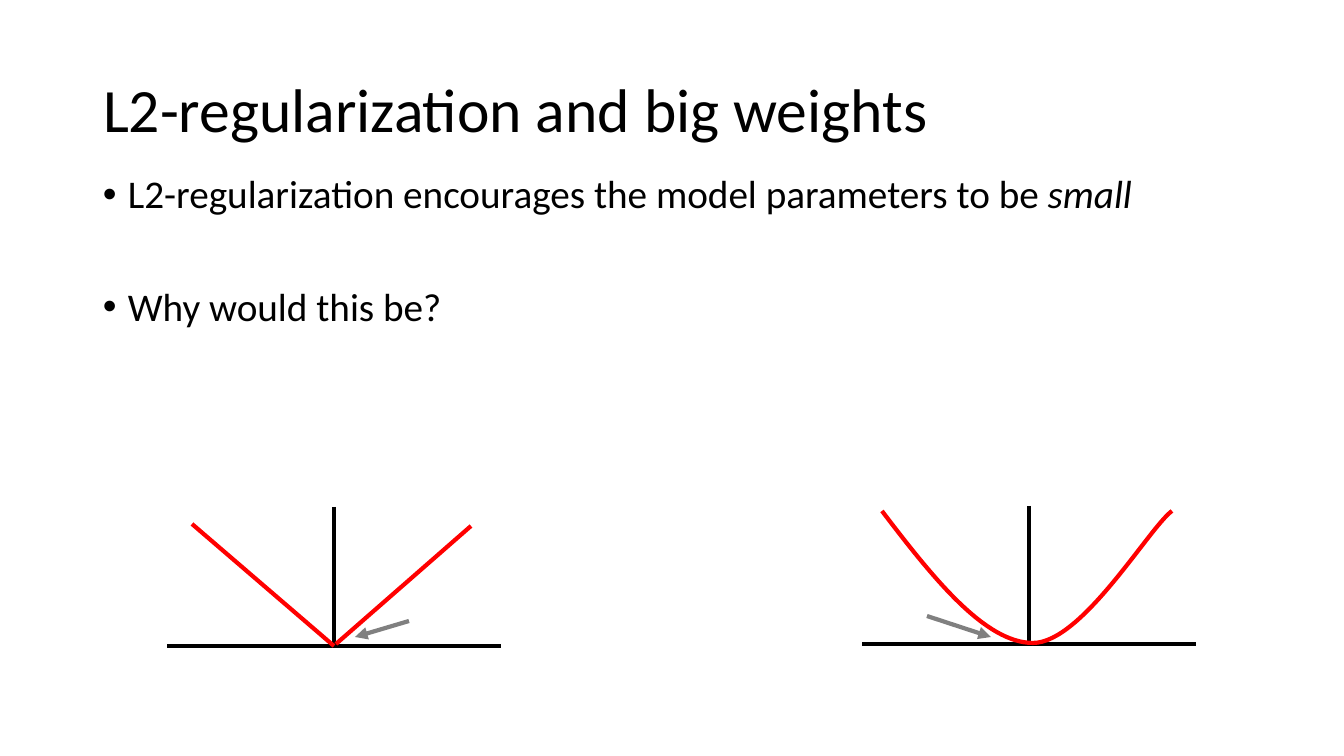
from lxml.etree import SubElement
from pptx import Presentation
from pptx.dml.color import RGBColor
from pptx.enum.shapes import MSO_CONNECTOR
from pptx.enum.text import MSO_ANCHOR, MSO_AUTO_SIZE, PP_ALIGN
from pptx.oxml.ns import qn
from pptx.util import Pt

EMU_PER_PX = 914400 / 100.8
BLACK, RED, GRAY = "000000", "FF0000", "808080"


def px(length):
    return round(length * EMU_PER_PX)


def color(hex_string):
    return RGBColor.from_string(hex_string)


class SlideBuilder:
    font_name = "Calibri"
    line_width = Pt(3)
    bullet_indent = 25

    def __init__(self, presentation):
        self.slide = presentation.slides.add_slide(presentation.slide_layouts[5])

    def place(self, shape, left, top, width, height):
        shape.left, shape.top = px(left), px(top)
        shape.width, shape.height = px(width), px(height)

    def add_runs(self, paragraph, runs, size):
        """Fill a paragraph from (text, italic) pairs."""
        paragraph.alignment = PP_ALIGN.LEFT
        paragraph.line_spacing = 0.9
        for text, italic in runs:
            run = paragraph.add_run()
            run.text = text
            run.font.name = self.font_name
            run.font.size = Pt(size)
            run.font.italic = italic
            run.font.color.rgb = color(BLACK)

    def title(self, text, box):
        shape = self.slide.shapes.title
        self.place(shape, *box)
        frame = shape.text_frame
        frame.auto_size = MSO_AUTO_SIZE.NONE
        frame.vertical_anchor = MSO_ANCHOR.MIDDLE
        self.add_runs(frame.paragraphs[0], [(text, False)], 44)

    def bullets(self, items, box, gap):
        frame = self.slide.shapes.add_textbox(*map(px, box)).text_frame
        frame.word_wrap = True
        for index, runs in enumerate(items):
            paragraph = frame.add_paragraph() if index else frame.paragraphs[0]
            paragraph.space_before = Pt(gap if index else 0)
            properties = paragraph._p.get_or_add_pPr()
            properties.set("marL", str(px(self.bullet_indent)))
            properties.set("indent", str(-px(self.bullet_indent)))
            SubElement(properties, qn("a:buFont")).set("typeface", "Arial")
            SubElement(properties, qn("a:buChar")).set("char", "•")
            self.add_runs(paragraph, runs, 28)

    def line(self, start, end, hex_string, arrow=False):
        connector = self.slide.shapes.add_connector(
            MSO_CONNECTOR.STRAIGHT, *map(px, start + end))
        connector.line.color.rgb = color(hex_string)
        connector.line.width = self.line_width
        properties = connector._element.spPr
        if arrow:
            SubElement(properties.get_or_add_ln(), qn("a:tailEnd")).set("type", "triangle")
        SubElement(properties, qn("a:effectLst"))

    def curve(self, start, controls, hex_string):
        """Draw cubic Bézier pieces; every three control points make one piece."""
        builder = self.slide.shapes.build_freeform(*start, scale=EMU_PER_PX)
        builder.add_line_segments(controls, close=False)
        shape = builder.convert_to_shape()
        segments = list(shape._element.iter(qn("a:lnTo")))
        for first in range(0, len(segments), 3):
            piece = segments[first:first + 3]
            outline = piece[0].getparent()
            cubic = SubElement(outline, qn("a:cubicBezTo"))
            for segment in piece:
                cubic.append(segment[0])
                outline.remove(segment)
        shape.shadow.inherit = False
        shape.fill.background()
        shape.line.color.rgb = color(hex_string)
        shape.line.width = self.line_width

    def axes(self, origin, height, half_width):
        x, y = origin
        self.line((x, y - height), (x, y), BLACK)
        self.line((x + half_width, y), (x - half_width, y), BLACK)


def main():
    presentation = Presentation()
    presentation.slide_width, presentation.slide_height = px(1344), px(756)
    builder = SlideBuilder(presentation)
    builder.title("L2-regularization and big weights", (93, 40, 1159, 146))
    builder.bullets([
        [("L2-regularization encourages the model parameters to be ", False), ("small", True)],
        [("Why would this be?", False)],
    ], (93, 170, 1159, 557), gap=50)

    # Absolute value penalty
    builder.axes((334, 646), 139, 167)
    builder.line((192, 524), (334, 646), RED)
    builder.line((336, 644), (471, 526), RED)

    # Squared penalty
    builder.axes((1029, 644), 138, 167)
    builder.curve((882, 511), [(933, 578), (985, 643), (1033, 643),
                               (1082, 643), (1149, 528), (1172, 511)], RED)

    # Slope near zero
    builder.line((409, 621), (355, 637), GRAY, arrow=True)
    builder.line((927, 616), (991, 637), GRAY, arrow=True)

    presentation.save("out.pptx")


if __name__ == "__main__":
    main()
